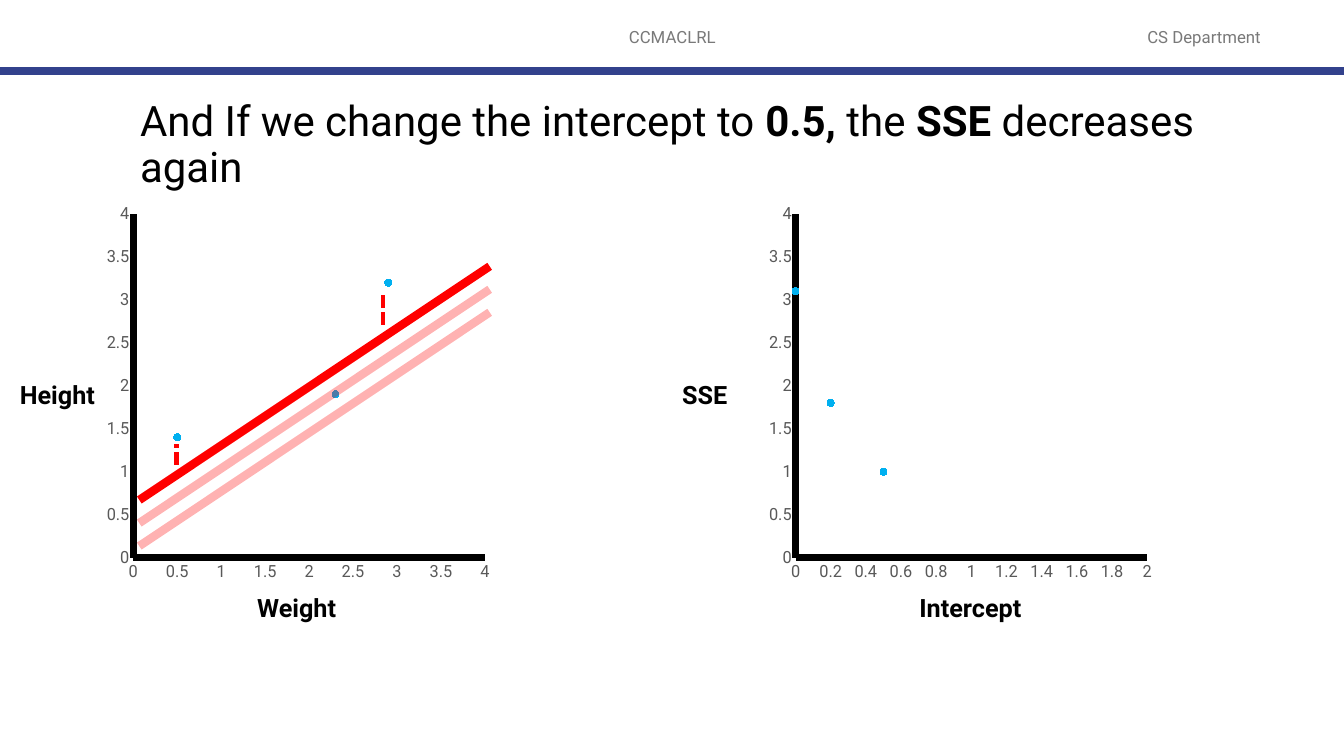
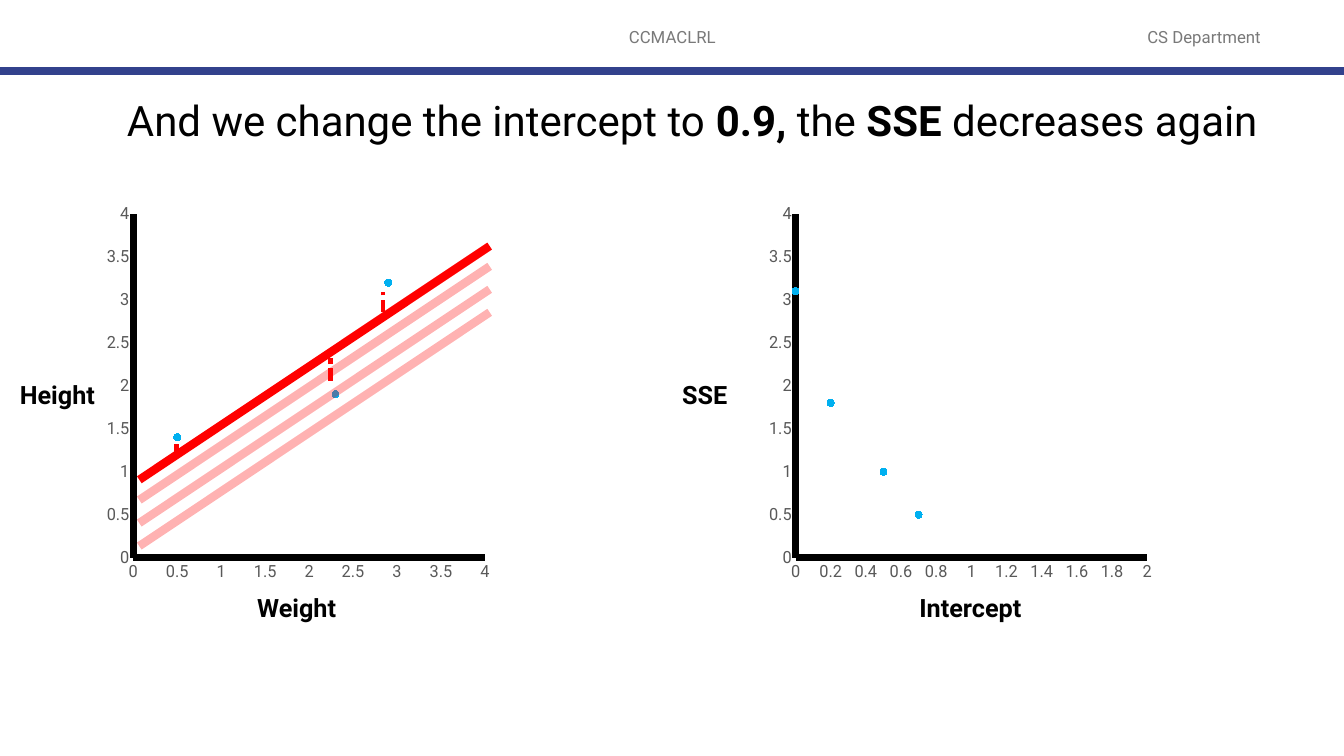
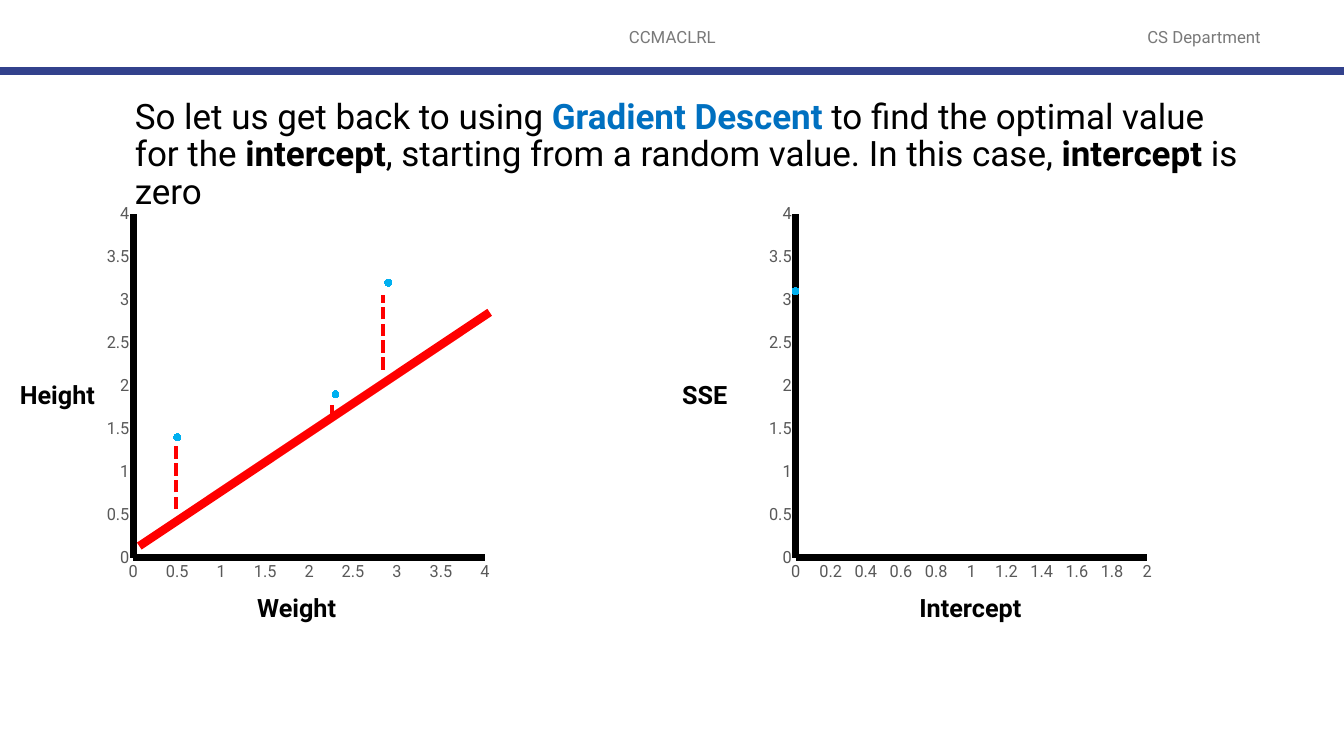
from pptx import Presentation
from pptx.chart.data import XyChartData
from pptx.dml.color import RGBColor
from pptx.enum.chart import XL_CHART_TYPE, XL_MARKER_STYLE, XL_TICK_MARK
from pptx.enum.dml import MSO_LINE
from pptx.enum.shapes import MSO_CONNECTOR
from pptx.enum.text import MSO_ANCHOR, PP_ALIGN
from pptx.oxml import parse_xml
from pptx.oxml.ns import nsdecls, qn
from pptx.util import Cm, Pt

FONT = "Roboto"
COLORS = {
    "text": "000000",
    "header": "797979",
    "band": "32418C",
    "ticks": "595959",
    "point": "00B0F0",
    "fit": "FF0000",
    "accent": "0070C0",
}
COLORS = {name: RGBColor.from_string(value) for name, value in COLORS.items()}

HEADERS = [("CCMACLRL", 11.23, 11.43), ("CS Department", 27.74, 5.21)]
CHART_TOP, CHART_WIDTH, CHART_HEIGHT = 5.13, 9.65, 9.63
FIT_LEFT, FIT_RIGHT, FIT_RISE = 3.51, 12.34, 5.89
HEIGHT_POINTS = [(0.5, 1.4), (2.3, 1.9), (2.9, 3.2)]
LAYOUT = (
    f'<c:layout {nsdecls("c")}><c:manualLayout><c:layoutTarget val="inner"/>'
    '<c:xMode val="edge"/><c:yMode val="edge"/><c:x val="0.069"/><c:y val="0.027"/>'
    '<c:w val="0.945"/><c:h val="0.9"/></c:manualLayout></c:layout>'
)

SLIDES = [
    {
        "title": [
            ("And If we change the intercept to ", False, "text"),
            ("0.5, ", True, "text"),
            ("the ", False, "text"),
            ("SSE", True, "text"),
            (" decreases again", False, "text"),
        ],
        "title_box": (3.28, 2.41, 28.8, 1.5),
        "title_size": 30,
        "fit_tops": [7.87, 7.29, 6.71],
        "residuals": [(4.45, 11.71, 11.2), (9.65, 8.18, 7.37)],
        "errors": [(0, 3.1), (0.2, 1.8), (0.5, 1)],
    },
    {
        "title": [
            ("And we change the intercept to ", False, "text"),
            ("0.9, ", True, "text"),
            ("the ", False, "text"),
            ("SSE", True, "text"),
            (" decreases again", False, "text"),
        ],
        "title_box": (2.95, 2.41, 29.54, 1.5),
        "title_size": 30,
        "fit_tops": [7.87, 7.29, 6.71, 6.2],
        "residuals": [(4.45, 11.48, 11.2), (9.65, 7.87, 7.37), (8.33, 9.6, 9.02)],
        "errors": [(0, 3.1), (0.2, 1.8), (0.5, 1), (0.7, 0.5)],
    },
    {
        "title": [
            ("So let us get back to using ", False, "text"),
            ("Gradient Descent ", True, "accent"),
            ("to find the optimal value for the ", False, "text"),
            ("intercept", True, "text"),
            (", starting from a random value. In this case, ", False, "text"),
            ("intercept", True, "text"),
            (" is zero", False, "text"),
        ],
        "title_box": (3.15, 2.37, 28.47, 2.41),
        "title_size": 25,
        "fit_tops": [7.87],
        "residuals": [(4.43, 12.83, 11.15), (9.65, 9.32, 7.44), (8.36, 10.52, 10.19)],
        "errors": [(0, 3.1)],
    },
]


def add_text(page, bounds, spans, size, color="text"):
    box = page.shapes.add_textbox(*[Cm(length) for length in bounds])
    box.text_frame.word_wrap = True
    para = box.text_frame.paragraphs[0]
    para.font.name = FONT
    para.font.size = Pt(size)
    para.font.color.rgb = COLORS[color]
    for text, bold, span_color in spans:
        span = para.add_run()
        span.text = text
        span.font.bold = bold
        if span_color != color:
            span.font.color.rgb = COLORS[span_color]
    return box


def add_line(page, start, end, color, width):
    ends = [Cm(length) for length in (*start, *end)]
    connector = page.shapes.add_connector(MSO_CONNECTOR.STRAIGHT, *ends)
    connector.line.color.rgb = COLORS[color]
    connector.line.width = Pt(width)
    connector.element.spPr.append(parse_xml(f'<a:effectLst {nsdecls("a")}/>'))
    return connector


deck = Presentation()
deck.slide_width = Cm(33.87)
deck.slide_height = Cm(19.05)

for content in SLIDES:
    page = deck.slides.add_slide(deck.slide_layouts[6])

    for text, left, width in HEADERS:
        box = add_text(page, (left, 0.43, width, 1.02), [(text, False, "header")], 12, "header")
        box.text_frame.vertical_anchor = MSO_ANCHOR.MIDDLE
        box.text_frame.paragraphs[0].alignment = PP_ALIGN.CENTER
    add_line(page, (0, 1.79), (33.87, 1.79), "band", 6)

    plots = [
        (2.69, HEIGHT_POINTS, 4, 0.5, "Weight", 6.23, "Height"),
        (19.38, content["errors"], 2, 0.2, "Intercept", 22.92, "SSE"),
    ]
    for left, points, x_max, x_step, x_label, x_label_left, y_label in plots:
        data = XyChartData()
        series_data = data.add_series("Series 1")
        for x, y in points:
            series_data.add_data_point(x, y)
        chart = page.shapes.add_chart(
            XL_CHART_TYPE.XY_SCATTER, Cm(left), Cm(CHART_TOP),
            Cm(CHART_WIDTH), Cm(CHART_HEIGHT), data,
        ).chart
        chart.has_title = False
        chart.has_legend = False
        chart.font.name = FONT
        chart.font.size = Pt(10)
        chart.font.color.rgb = COLORS["text"]
        chart.plots[0].vary_by_categories = False

        plot_area = chart.element.find(".//" + qn("c:plotArea"))
        for layout in plot_area.findall(qn("c:layout")):
            plot_area.remove(layout)
        plot_area.insert(0, parse_xml(LAYOUT))

        for axis, maximum, step in [
            (chart.category_axis, x_max, x_step),
            (chart.value_axis, 4, 0.5),
        ]:
            axis.minimum_scale = 0
            axis.maximum_scale = maximum
            axis.major_unit = step
            axis.has_major_gridlines = False
            axis.major_tick_mark = XL_TICK_MARK.NONE
            axis.minor_tick_mark = XL_TICK_MARK.NONE
            axis.format.line.color.rgb = COLORS["text"]
            axis.format.line.width = Pt(5)
            axis.tick_labels.font.name = FONT
            axis.tick_labels.font.size = Pt(12)
            axis.tick_labels.font.color.rgb = COLORS["ticks"]

        series = chart.plots[0].series[0]
        series.smooth = False
        series.format.line.fill.background()
        series.marker.style = XL_MARKER_STYLE.CIRCLE
        series.marker.size = 5
        series.marker.format.fill.solid()
        series.marker.format.fill.fore_color.rgb = COLORS["point"]
        series.marker.format.line.color.rgb = COLORS["point"]

        for text, label_left, label_top, label_width in [
            (x_label, x_label_left, 14.81, 3.43),
            (y_label, left - 2.44, 9.43, 2.44),
        ]:
            add_text(page, (label_left, label_top, label_width, 1.02), [(text, True, "text")], 18)

    add_text(
        page, content["title_box"], content["title"], content["title_size"]
    ).text_frame.paragraphs[0].line_spacing = 0.9

    *earlier_tops, current_top = content["fit_tops"]
    for top in earlier_tops + [current_top]:
        fit = add_line(page, (FIT_RIGHT, top), (FIT_LEFT, top + FIT_RISE), "fit", 6)
        if top != current_top:
            for color in fit.element.iter(qn("a:srgbClr")):
                color.append(parse_xml(f'<a:alpha {nsdecls("a")} val="30000"/>'))

    for x, bottom, top in content["residuals"]:
        residual = add_line(page, (x, bottom), (x, top), "fit", 3)
        residual.line.dash_style = MSO_LINE.SQUARE_DOT

deck.save("out.pptx")
